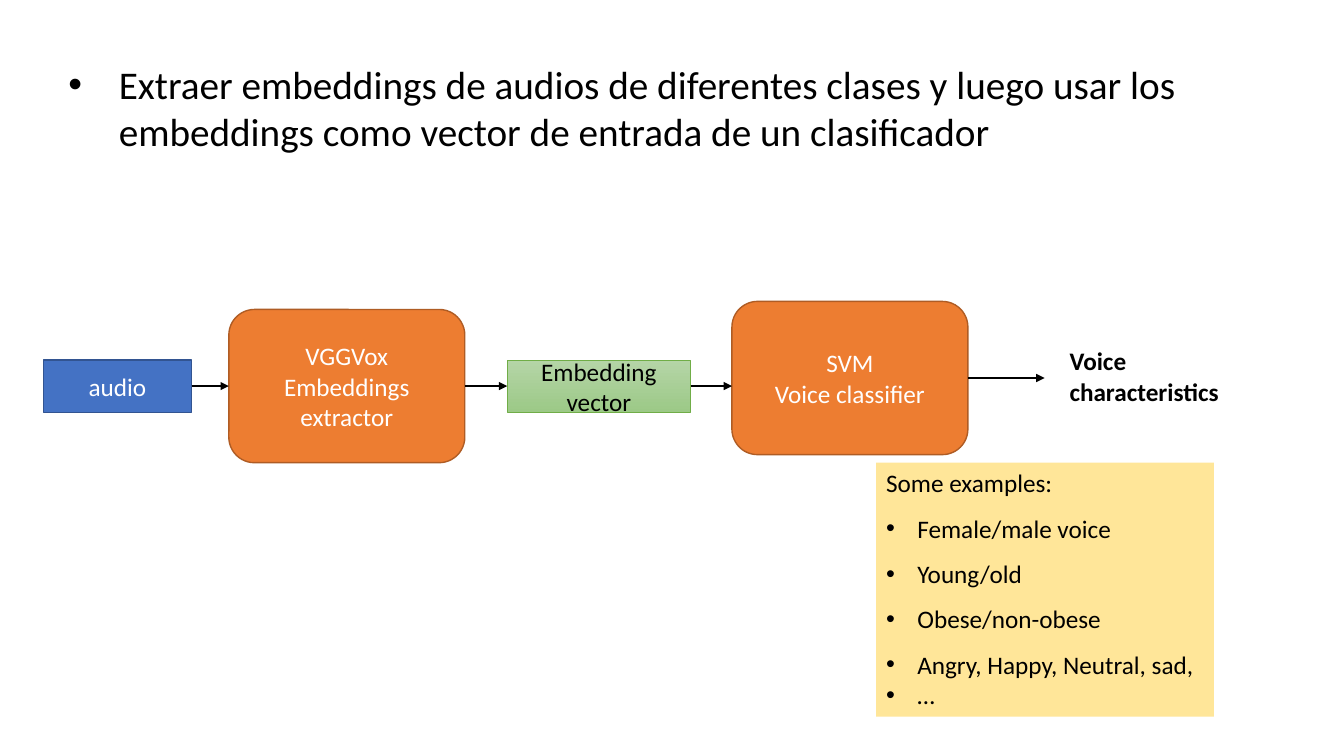
from lxml import etree
from pptx import Presentation
from pptx.dml.color import RGBColor
from pptx.enum.shapes import MSO_CONNECTOR, MSO_SHAPE
from pptx.enum.text import MSO_ANCHOR, MSO_AUTO_SIZE, PP_ALIGN
from pptx.oxml.ns import qn
from pptx.util import Emu, Pt

RECT, ROUND = MSO_SHAPE.RECTANGLE, MSO_SHAPE.ROUNDED_RECTANGLE
STRAIGHT = MSO_CONNECTOR.STRAIGHT
LEFT, CENTER = PP_ALIGN.LEFT, PP_ALIGN.CENTER
TOP, MIDDLE = MSO_ANCHOR.TOP, MSO_ANCHOR.MIDDLE
GROW, FIXED = MSO_AUTO_SIZE.SHAPE_TO_FIT_TEXT, MSO_AUTO_SIZE.NONE
SCALE = 9144  # 100 px to the inch
LEFT_SIDE, RIGHT_SIDE = 1, 3


def px(n):
    return Emu(n * SCALE)


def color(text):
    return RGBColor.from_string(text)


class Board:
    font = "Calibri"
    black, white = "000000", "FFFFFF"

    def __init__(self, slide):
        self.slide = slide

    def label(self, shape, lines, ink, size=18, bold=None, align=LEFT,
              anchor=TOP, fit=FIXED):
        """Each line is plain text or (text, indent px, line spacing)."""
        frame = shape.text_frame
        box = {"word_wrap": True, "auto_size": fit, "vertical_anchor": anchor}
        for key, value in box.items():
            setattr(frame, key, value)
        style = {"name": self.font, "size": Pt(size), "bold": bold}
        for i, line in enumerate(lines):
            text, indent, space = (line, 0, None) if isinstance(line, str) else line
            para = frame.add_paragraph() if i else frame.paragraphs[0]
            para.alignment, para.line_spacing = align, space
            run = para.add_run()
            run.text = text
            run.font.color.rgb = color(ink)
            for key, value in style.items():
                setattr(run.font, key, value)
            if indent:
                self.bullet(para, indent)

    def bullet(self, para, indent):
        props = para._p.get_or_add_pPr()
        props.set("marL", str(px(indent)))
        props.set("indent", str(px(-indent)))
        etree.SubElement(props, qn("a:buFont"), typeface="Arial")
        etree.SubElement(props, qn("a:buChar"), char="•")

    def text(self, area, lines, **style):
        shape = self.slide.shapes.add_textbox(*map(px, area))
        self.label(shape, lines, self.black, fit=GROW, **style)

    def box(self, kind, area, lines, fill, edge=None, width=1, ink=white,
            align=CENTER, anchor=MIDDLE, fit=FIXED):
        shape = self.slide.shapes.add_shape(kind, *map(px, area))
        shape.shadow.inherit = False
        if isinstance(fill, str):
            shape.fill.solid()
            shape.fill.fore_color.rgb = color(fill)
        else:
            shape.fill.gradient()
            shape.fill.gradient_angle = 270
            for stop, tone in zip(shape.fill.gradient_stops, fill):
                stop.color.rgb = color(tone)
        if edge:
            shape.line.color.rgb = color(edge)
            shape.line.width = Pt(width)
        else:
            shape.line.fill.background()
        self.label(shape, lines, ink, align=align, anchor=anchor, fit=fit)
        return shape

    def arrow(self, start, end, y, source, target=None):
        line = self.slide.shapes.add_connector(
            STRAIGHT, px(start), px(y), px(end), px(y))
        line.begin_connect(source, RIGHT_SIDE)
        if target:
            line.end_connect(target, LEFT_SIDE)
        line.line.color.rgb = color(self.black)
        line.line.width = Pt(1.25)
        etree.SubElement(line.line._get_or_add_ln(), qn("a:tailEnd"), type="triangle")
        etree.SubElement(line._element.spPr, qn("a:effectLst"))


def main():
    deck = Presentation()
    deck.slide_width, deck.slide_height = px(1333), px(750)
    board = Board(deck.slides.add_slide(deck.slide_layouts[6]))

    # Main statement
    board.text((58, 55, 1172, 151), [
        ("Extraer embeddings de audios de diferentes clases y luego usar los "
         "embeddings como vector de entrada de un clasificador", 50, None)], size=28)

    # Pipeline stages
    stage = {"fill": "ED7D31", "edge": "AF5C24"}
    audio = board.box(RECT, (43, 357, 147, 52), ["audio"], "4472C4", "325491")
    vox = board.box(ROUND, (227, 307, 234, 152),
                    ["VGGVox", "Embeddings", "extractor"], **stage)
    vector = board.box(RECT, (503, 357, 182, 52), ["Embedding vector"],
                       ("B5D5A7", "9CC987"), "70AD47", 0.5, board.black)
    svm = board.box(ROUND, (726, 299, 234, 152),
                    ["SVM", "Voice classifier"], **stage)

    # Flow
    board.arrow(190, 227, 383, audio, vox)
    board.arrow(461, 503, 383, vox, vector)
    board.arrow(685, 726, 383, vector)
    board.arrow(960, 1036, 375, svm)

    # Result and examples
    board.text((1051, 338, 214, 71), ["Voice characteristics"], bold=True)
    kinds = ["Female/male voice", "Young/old", "Obese/non-obese",
             "Angry, Happy, Neutral, sad,"]
    board.box(RECT, (869, 459, 335, 252),
              ["Some examples:", *((kind, 31, 1.5) for kind in kinds), ("…", 31, None)],
              "FFE699", ink=board.black, align=LEFT, anchor=TOP, fit=GROW)

    deck.save("out.pptx")


if __name__ == "__main__":
    main()
